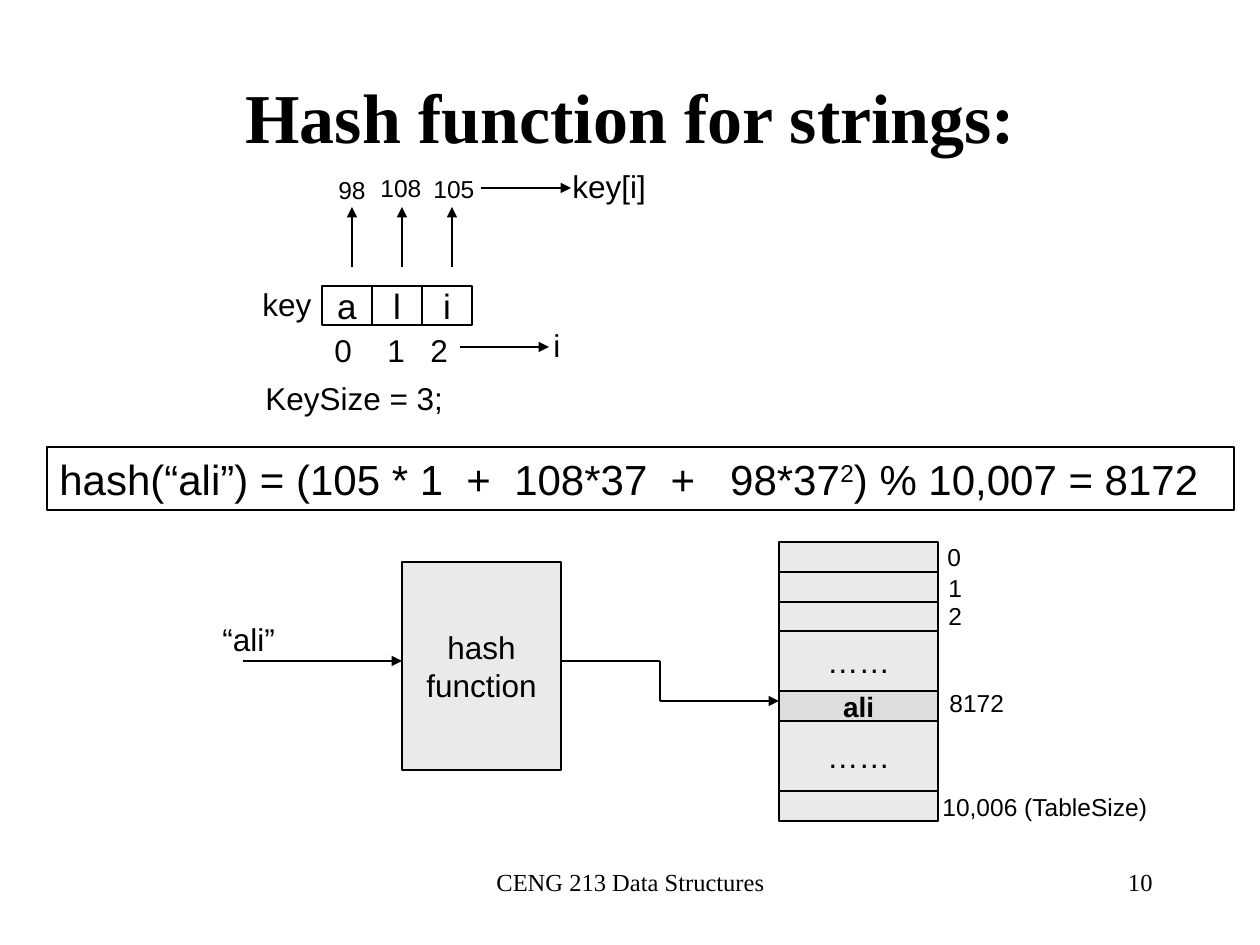
from dataclasses import dataclass
from itertools import accumulate

from lxml.etree import SubElement
from pptx import Presentation
from pptx.dml.color import RGBColor
from pptx.enum.shapes import MSO_CONNECTOR, MSO_SHAPE
from pptx.enum.text import MSO_ANCHOR, MSO_AUTO_SIZE, PP_ALIGN
from pptx.oxml.ns import qn
from pptx.util import Pt

SCALE = 914400 / 126


@dataclass(frozen=True)
class Theme:
    ink: RGBColor = RGBColor(0, 0, 0)
    slot: RGBColor = RGBColor(0xEA, 0xEA, 0xEA)
    hit: RGBColor = RGBColor(0xDD, 0xDD, 0xDD)
    serif: str = "Times New Roman"
    sans: str = "Arial"
    title: int = 40
    formula: int = 24
    letter: int = 20
    body: int = 18
    entry: int = 16
    small: int = 14
    stroke: int = 1


THEME = Theme()

HEADINGS = [
    ("CENG 213 Data Structures", (431, 861, 399, 63), THEME.small, PP_ALIGN.CENTER, False),
    ("10", (903, 861, 262, 63), THEME.small, PP_ALIGN.RIGHT, False),
    ("Hash function for strings:", (95, 63, 1071, 105), THEME.title, PP_ALIGN.CENTER, True),
]
KEY_LETTERS = ["a", "l", "i"]
FORMULA = [
    ("hash(“ali”) = (105 * 1  +  108*37  +   98*37", False),
    ("2", True),
    (") % 10,007 = 8172", False),
]
TABLE_ROWS = [
    ("", 30, THEME.slot),
    ("", 30, THEME.slot),
    ("", 29, THEME.slot),
    ("……", 60, THEME.slot),
    ("ali", 30, THEME.hit),
    ("……", 70, THEME.slot),
    ("", 30, THEME.slot),
]
BODY_LABELS = [
    ("key", 250, 279, 75),
    ("KeySize = 3;", 253, 373, 212),
    ("0", 322, 325, 43),
    ("1", 375, 325, 43),
    ("2", 418, 325, 43),
    ("i", 541, 320, 33),
    ("key[i]", 560, 161, 100),
    ("“ali”", 210, 614, 79),
]
SMALL_LABELS = [
    ("98", 326, 169, 53),
    ("108", 368, 167, 67),
    ("105", 421, 168, 67),
    ("0", 935, 536, 39),
    ("1", 936, 567, 39),
    ("2", 936, 595, 39),
    ("8172", 937, 682, 80),
    ("10,006 (TableSize)", 930, 786, 233),
]
KEY_LEFT, KEY_TOP, KEY_WIDTH, KEY_HEIGHT = 322, 286, 50, 39
TABLE_LEFT, TABLE_TOP, TABLE_WIDTH = 779, 542, 159
HASH_BOX = (402, 562, 159, 208)
FORMULA_BOX = (47, 447, 1187, 63)
ARROWS = [
    (460, 347, 549, 347),
    (481, 188, 571, 188),
    (243, 661, 402, 661),
    (660, 701, 779, 701),
]
ELBOW = [(561, 661, 660, 661), (660, 661, 660, 701)]


def px(*lengths):
    return [round(length * SCALE) for length in lengths]


def style(paragraph, size, font=THEME.sans, align=PP_ALIGN.LEFT, bold=False):
    paragraph.alignment = align
    for run in paragraph.runs:
        run.font.name = font
        run.font.size = Pt(size)
        run.font.bold = bold
        run.font.color.rgb = THEME.ink


def add_label(slide, text, box, size, wrap=False, anchor=MSO_ANCHOR.TOP, **look):
    frame = slide.shapes.add_textbox(*px(*box)).text_frame
    frame.word_wrap = wrap
    frame.auto_size = MSO_AUTO_SIZE.NONE if wrap else MSO_AUTO_SIZE.SHAPE_TO_FIT_TEXT
    frame.vertical_anchor = anchor
    frame.text = text
    style(frame.paragraphs[0], size, **look)


def add_box(slide, box, fill=None, text="", size=THEME.body, bold=False):
    shape = slide.shapes.add_shape(MSO_SHAPE.RECTANGLE, *px(*box))
    shape.shadow.inherit = False
    if fill is None:
        shape.fill.background()
    else:
        shape.fill.solid()
        shape.fill.fore_color.rgb = fill
    shape.line.color.rgb = THEME.ink
    shape.line.width = Pt(THEME.stroke)
    frame = shape.text_frame
    frame.word_wrap = False
    frame.vertical_anchor = MSO_ANCHOR.MIDDLE
    frame.text = text
    style(frame.paragraphs[0], size, align=PP_ALIGN.CENTER, bold=bold)
    return frame


def add_line(slide, ends, arrow=True):
    line = slide.shapes.add_connector(MSO_CONNECTOR.STRAIGHT, *px(*ends))
    line.line.color.rgb = THEME.ink
    line.line.width = Pt(THEME.stroke)
    properties = line._element.spPr
    if arrow:
        SubElement(properties.find(qn("a:ln")), qn("a:tailEnd"), type="triangle")
    SubElement(properties, qn("a:effectLst"))


def add_formula(slide):
    frame = add_box(slide, FORMULA_BOX)
    frame.word_wrap = True
    frame.vertical_anchor = MSO_ANCHOR.TOP
    paragraph = frame.paragraphs[0]
    for text, raised in FORMULA:
        run = paragraph.add_run()
        run.text = text
        if raised:
            run._r.get_or_add_rPr().set("baseline", "30000")
    style(paragraph, THEME.formula)


def add_key(slide):
    for index, letter in enumerate(KEY_LETTERS):
        left = KEY_LEFT + index * KEY_WIDTH
        add_box(slide, (left, KEY_TOP, KEY_WIDTH, KEY_HEIGHT), text=letter, size=THEME.letter)
        add_line(slide, (left + 30, 267, left + 30, 207))


def add_hash_table(slide):
    tops = accumulate((height for _, height, _ in TABLE_ROWS), initial=TABLE_TOP)
    for (text, height, fill), top in zip(TABLE_ROWS, tops):
        found = fill == THEME.hit
        add_box(slide, (TABLE_LEFT, top, TABLE_WIDTH, height), fill, text,
                THEME.entry if found else THEME.body, found)


def main():
    deck = Presentation()
    deck.slide_width, deck.slide_height = px(1260, 945)
    slide = deck.slides.add_slide(deck.slide_layouts[6])

    for text, box, size, align, bold in HEADINGS:
        anchor = MSO_ANCHOR.MIDDLE if bold else MSO_ANCHOR.TOP
        add_label(slide, text, box, size, wrap=True, anchor=anchor,
                  font=THEME.serif, align=align, bold=bold)
    add_key(slide)
    add_formula(slide)
    add_box(slide, HASH_BOX, THEME.slot, "hash\vfunction")
    add_hash_table(slide)
    for ends in ARROWS:
        add_line(slide, ends)
    for ends in ELBOW:
        add_line(slide, ends, arrow=False)
    for labels, size, height in ((BODY_LABELS, THEME.body, 50), (SMALL_LABELS, THEME.small, 43)):
        for text, left, top, width in labels:
            add_label(slide, text, (left, top, width, height), size)
    deck.save("out.pptx")


if __name__ == "__main__":
    main()
